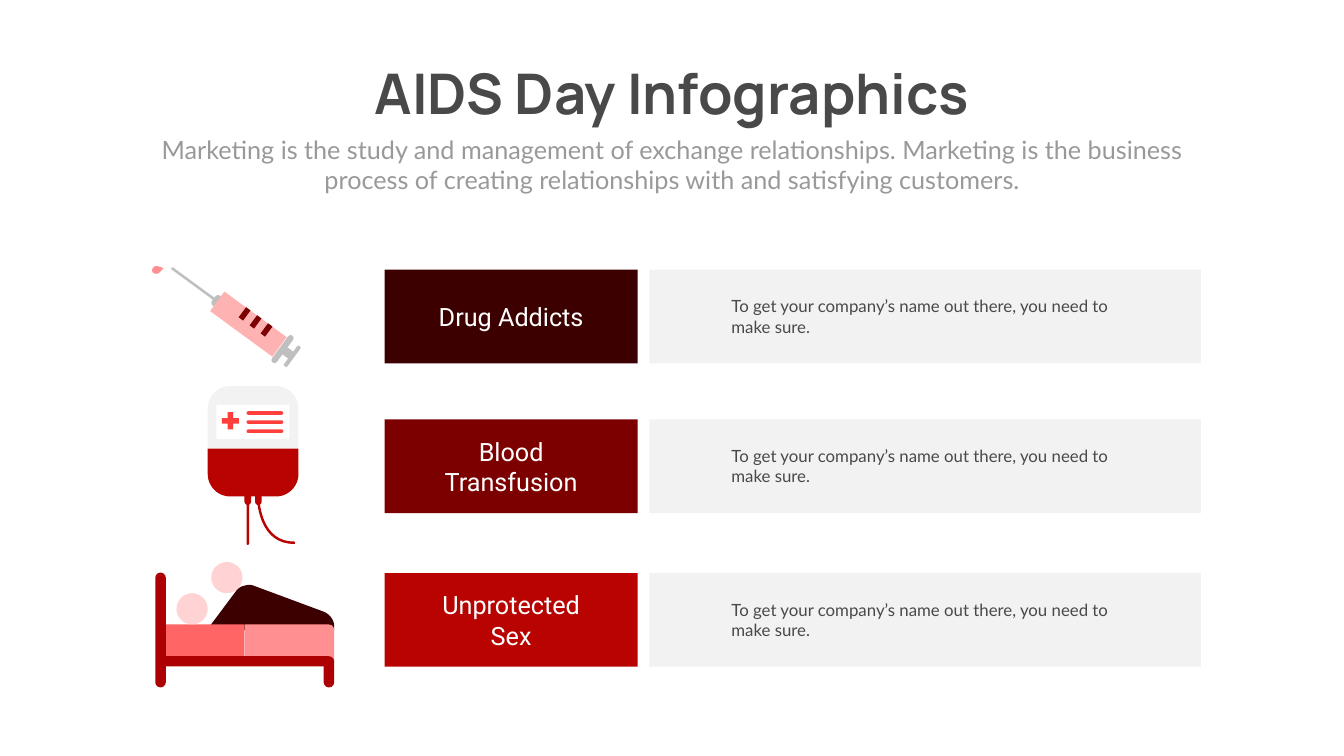
from math import atan2, cos, degrees, sin

from pptx import Presentation
from pptx.dml.color import RGBColor
from pptx.enum.shapes import MSO_SHAPE as Shape
from pptx.enum.text import MSO_ANCHOR as Anchor, PP_ALIGN as Align
from pptx.util import Inches, Pt

DARK, MAROON, RED, FRAME = "3D0001", "7C0000", "B80300", "AD0003"
CORAL, ROSE, PINK, SKIN, BRIGHT = "FF6565", "FF8F91", "FFB2B2", "FFD2D3", "FF3F3B"
WHITE, PALE, SILVER, GRAY, INK = "FFFFFF", "F2F2F2", "BFBFBF", "999999", "494949"

TITLE = "AIDS Day Infographics"
SUBTITLE = ("Marketing is the study and management of exchange relationships. "
            "Marketing is the business process of creating relationships with "
            "and satisfying customers.")
DETAIL = "To get your company’s name out there, you need to make sure."
ROWS = [
    ("Drug Addicts", DARK, 5.35, 1),
    ("Blood Transfusion", MAROON, 8.32, 2),
    ("Unprotected Sex", RED, 11.37, 2),
]


def color(value):
    return RGBColor.from_string(value)


def paint(shape, fill):
    shape.shadow.inherit = False
    shape.fill.solid()
    shape.fill.fore_color.rgb = color(fill)
    shape.line.fill.background()
    return shape


def add_shape(page, kind, left, top, width, height, fill, adjust=None, turn=0):
    shape = page.shapes.add_shape(
        kind, Inches(left), Inches(top), Inches(width), Inches(height))
    if adjust is not None:
        shape.adjustments[0] = adjust
    shape.rotation = turn
    return paint(shape, fill)


def add_pill(page, left, top, width, height, fill, turn=0):
    return add_shape(page, Shape.ROUNDED_RECTANGLE, left, top, width, height,
                     fill, adjust=0.5, turn=turn)


def bezier(start, first, second, end, steps=16):
    points = []
    for step in range(1, steps + 1):
        t = step / steps
        weights = ((1 - t) ** 3, 3 * t * (1 - t) ** 2, 3 * t * t * (1 - t), t ** 3)
        points.append(tuple(
            sum(weight * point[axis] for weight, point
                in zip(weights, (start, first, second, end)))
            for axis in (0, 1)))
    return points


def add_outline(page, left, top, start, segments, closed=True):
    points = [start]
    for segment in segments:
        points += bezier(points[-1], *segment) if len(segment) == 3 else segment
    placed = [(Inches(left + x), Inches(top + y)) for x, y in points]
    builder = page.shapes.build_freeform(*placed[0])
    builder.add_line_segments(placed[1:], close=closed)
    return builder.convert_to_shape()


def write(frame, text, size, font, ink, bold=False, align=Align.LEFT,
          anchor=Anchor.TOP, wrap=True):
    frame.word_wrap = wrap
    frame.vertical_anchor = anchor
    para = frame.paragraphs[0]
    para.alignment = align
    span = para.add_run()
    span.text = text
    span.font.size = Pt(size)
    span.font.name = font
    span.font.bold = bold
    span.font.color.rgb = color(ink)


def add_text(page, left, top, width, height, text, **style):
    box = page.shapes.add_textbox(
        Inches(left), Inches(top), Inches(width), Inches(height))
    write(box.text_frame, text, **style)


def add_heading(page, left, top, width):
    title = page.shapes.title
    title.left, title.top = Inches(left + 3.91), Inches(top)
    title.width, title.height = Inches(width - 7.82), Inches(1.45)
    write(title.text_frame, TITLE, size=80, font="Manrope", ink=INK, bold=True,
          align=Align.CENTER, wrap=False)
    add_text(page, left, top + 1.49, width, 1.31, SUBTITLE, size=36, font="Lato",
             ink=GRAY, align=Align.CENTER)


def add_row(page, left, top, height, label, fill, lines):
    middle = top + height / 2
    add_shape(page, Shape.RECTANGLE, left, top, 5.02, height, fill)
    add_shape(page, Shape.RECTANGLE, left + 5.25, top, 10.94, height, PALE)
    label_height = 0.11 + 0.6 * lines
    add_text(page, left + 0.88, middle - label_height / 2, 3.26, label_height, label,
             size=36, font="Roboto", ink=WHITE, align=Align.CENTER,
             anchor=Anchor.MIDDLE)
    add_text(page, left + 6.78, middle - 0.46, 7.89, 0.91, DETAIL,
             size=24, font="Lato", ink=INK, anchor=Anchor.MIDDLE)


def add_syringe(page, left, top):
    angle = atan2(0.63, 0.86)

    def add_part(kind, along, across, length, thickness, fill, adjust=None):
        x = left + 0.39 + along * cos(angle) - across * sin(angle)
        y = top + 0.04 + along * sin(angle) + across * cos(angle)
        add_shape(page, kind, x - length / 2, y - thickness / 2, length, thickness,
                  fill, adjust, degrees(angle))

    rounded = Shape.ROUNDED_RECTANGLE
    add_part(rounded, 1.11, 0, 0.17, 0.24, SILVER, 0.4)
    add_part(Shape.RECTANGLE, 1.88, 0, 1.53, 0.48, PINK)
    add_part(rounded, 2.72, 0, 0.12, 0.66, SILVER, 0.5)
    add_part(rounded, 2.96, 0, 0.08, 0.5, SILVER, 0.5)
    add_part(Shape.RECTANGLE, 2.85, 0, 0.2, 0.17, SILVER)
    for mark in range(3):
        add_part(Shape.RECTANGLE, 1.7 + 0.27 * mark, -0.12, 0.11, 0.25, MAROON)
    add_part(rounded, 0.54, 0, 1.1, 0.05, SILVER, 0.5)
    drop = add_outline(page, left, top, (0.1, 0.15), [
        ((0.06, 0.16), (0.01, 0.14), (0, 0.1)),
        ((-0.01, 0.06), (0.02, 0.02), (0.06, 0)),
        ((0.11, -0.01), (0.22, 0.04), (0.22, 0.04)),
        ((0.22, 0.04), (0.15, 0.14), (0.1, 0.15)),
    ])
    paint(drop, ROSE)


def add_blood_bag(page, left, top):
    for offset in (0.73, 0.94):
        add_pill(page, left + offset, top + 2.09, 0.13, 0.27, RED)
    half = Shape.ROUND_2_SAME_RECTANGLE
    add_shape(page, half, left, top, 1.8, 1.24, PALE, adjust=0.36)
    add_shape(page, half, left, top + 1.24, 1.8, 0.95, RED, adjust=0.47, turn=180)
    add_shape(page, Shape.RECTANGLE, left + 0.17, top + 0.37, 1.45, 0.68, WHITE)
    add_shape(page, Shape.CROSS, left + 0.28, top + 0.52, 0.34, 0.34, BRIGHT,
              adjust=0.34)
    for line in range(3):
        add_pill(page, left + 0.77, top + 0.5 + 0.18 * line, 0.73, 0.07, BRIGHT)
    tube = add_outline(page, left, top, (1, 2.28), [
        ((1.02, 2.33), (1.05, 3.12), (1.73, 3.11)),
    ], closed=False)
    tube.shadow.inherit = False
    tube.fill.background()
    tube.line.color.rgb = color(RED)
    tube.line.width = Pt(3.5)
    add_pill(page, left + 0.77, top + 2.26, 0.05, 0.89, RED)


def add_bed(page, left, top):
    blanket = add_outline(page, left, top, (1.07, 1.29), [
        [(1.6, 0.58)],
        ((1.64, 0.52), (1.71, 0.48), (1.77, 0.47)),
        ((1.84, 0.45), (1.9, 0.45), (1.95, 0.47)),
        [(3.35, 0.99)],
        ((3.46, 1.04), (3.55, 1.15), (3.55, 1.28)),
        [(3.55, 1.35), (1.07, 1.35)],
    ])
    paint(blanket, DARK)
    add_shape(page, Shape.RECTANGLE, left + 0.11, top + 1.24, 1.66, 0.73, CORAL)
    add_shape(page, Shape.ROUND_1_RECTANGLE, left + 1.77, top + 1.24,
              1.78, 0.73, ROSE, adjust=0.15)
    add_shape(page, Shape.RECTANGLE, left + 0.11, top + 1.87, 3.33, 0.2, FRAME)
    add_pill(page, left, top + 0.21, 0.21, 2.28, FRAME)
    add_pill(page, left + 3.34, top + 1.87, 0.21, 0.62, FRAME)
    for x, y in ((1.11, 0), (0.42, 0.62)):
        add_shape(page, Shape.OVAL, left + x, top + y, 0.62, 0.62, SKIN)


def main():
    deck = Presentation()
    deck.slide_width, deck.slide_height = Inches(26.66), Inches(15)
    page = deck.slides.add_slide(deck.slide_layouts[5])
    add_heading(page, 2.92, 1.12, 20.82)
    add_syringe(page, 3.02, 5.28)
    add_bed(page, 3.08, 11.15)
    add_blood_bag(page, 4.12, 7.66)
    for label, fill, top, lines in ROWS:
        add_row(page, 7.63, top, 1.86, label, fill, lines)
    deck.save("out.pptx")


if __name__ == "__main__":
    main()
